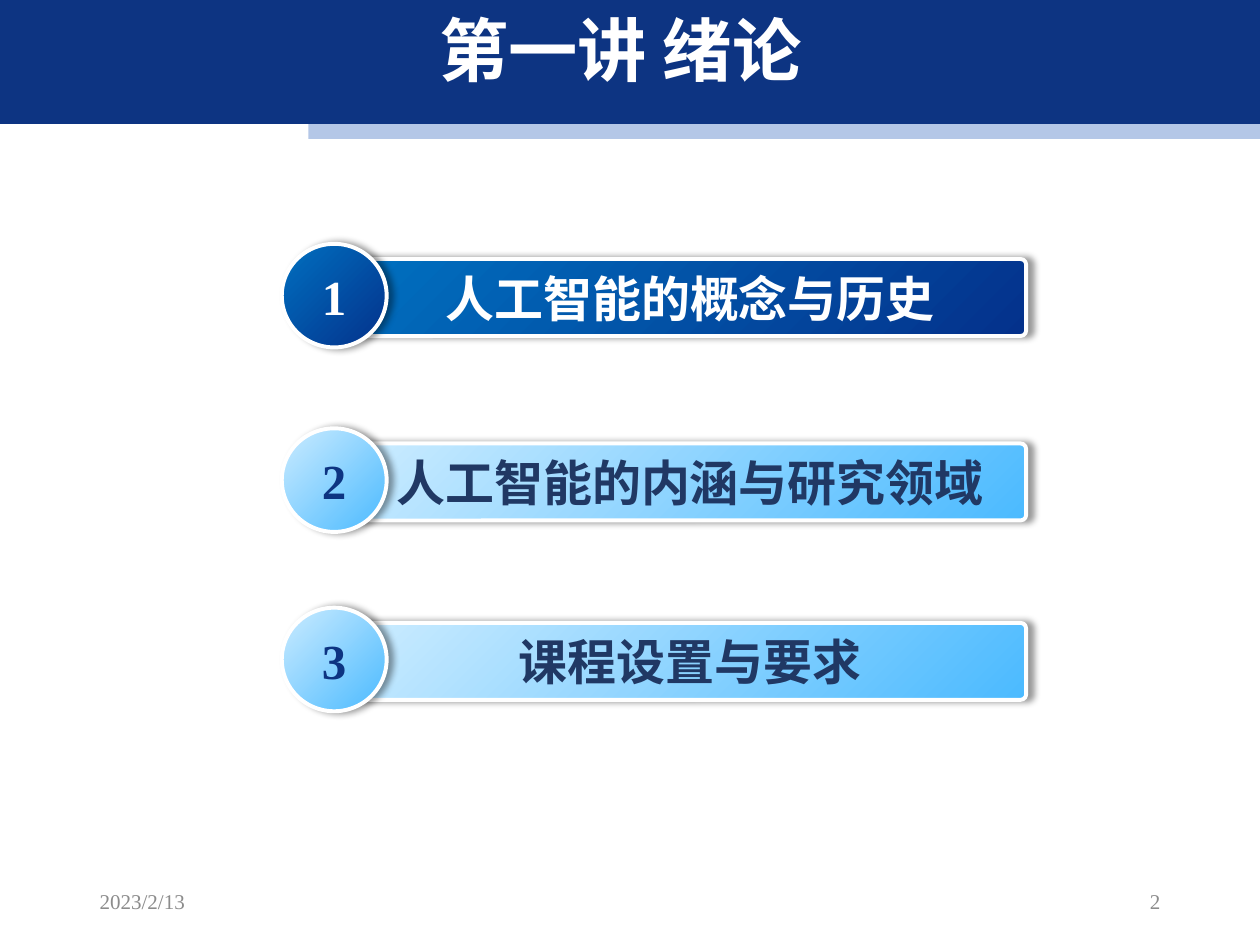
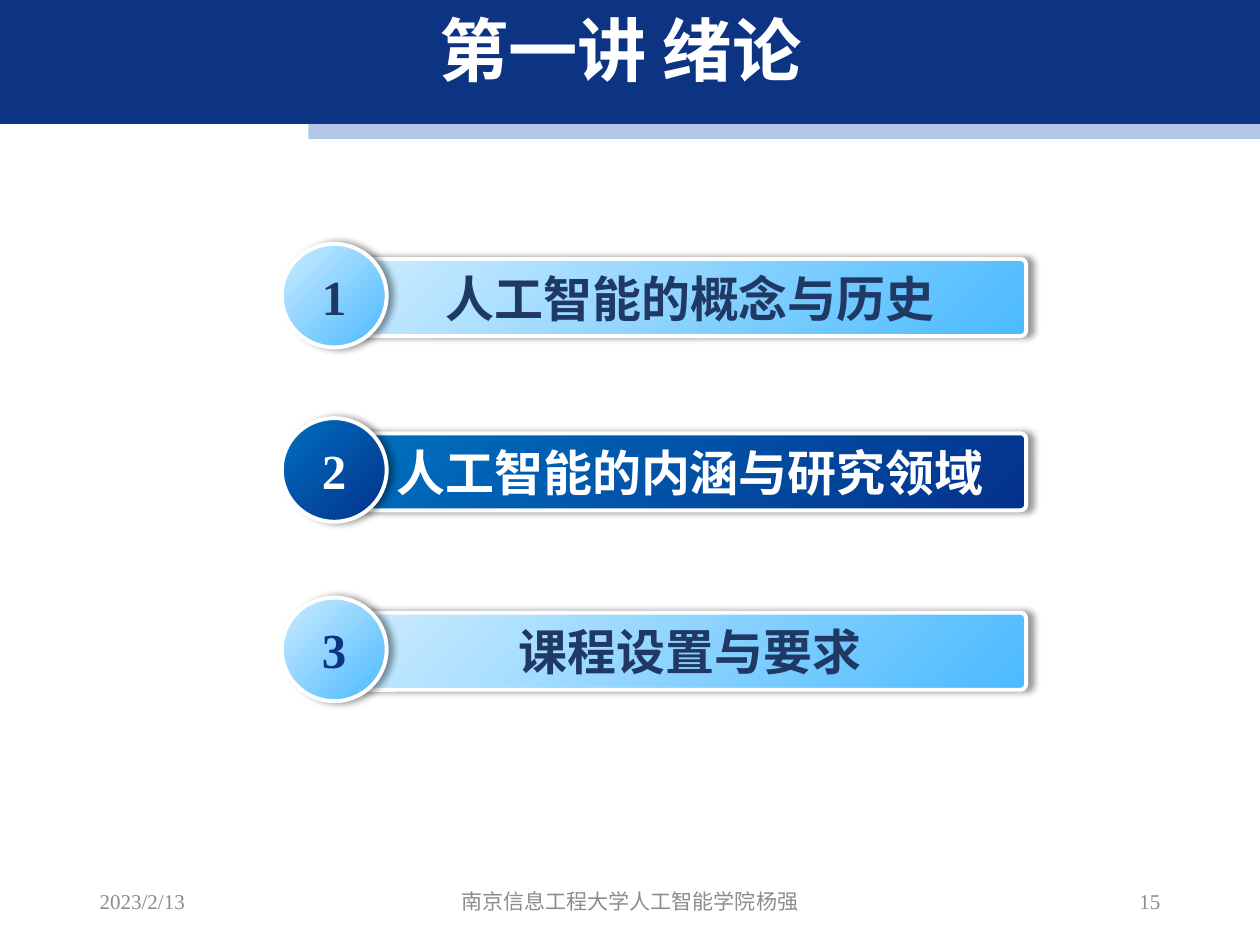
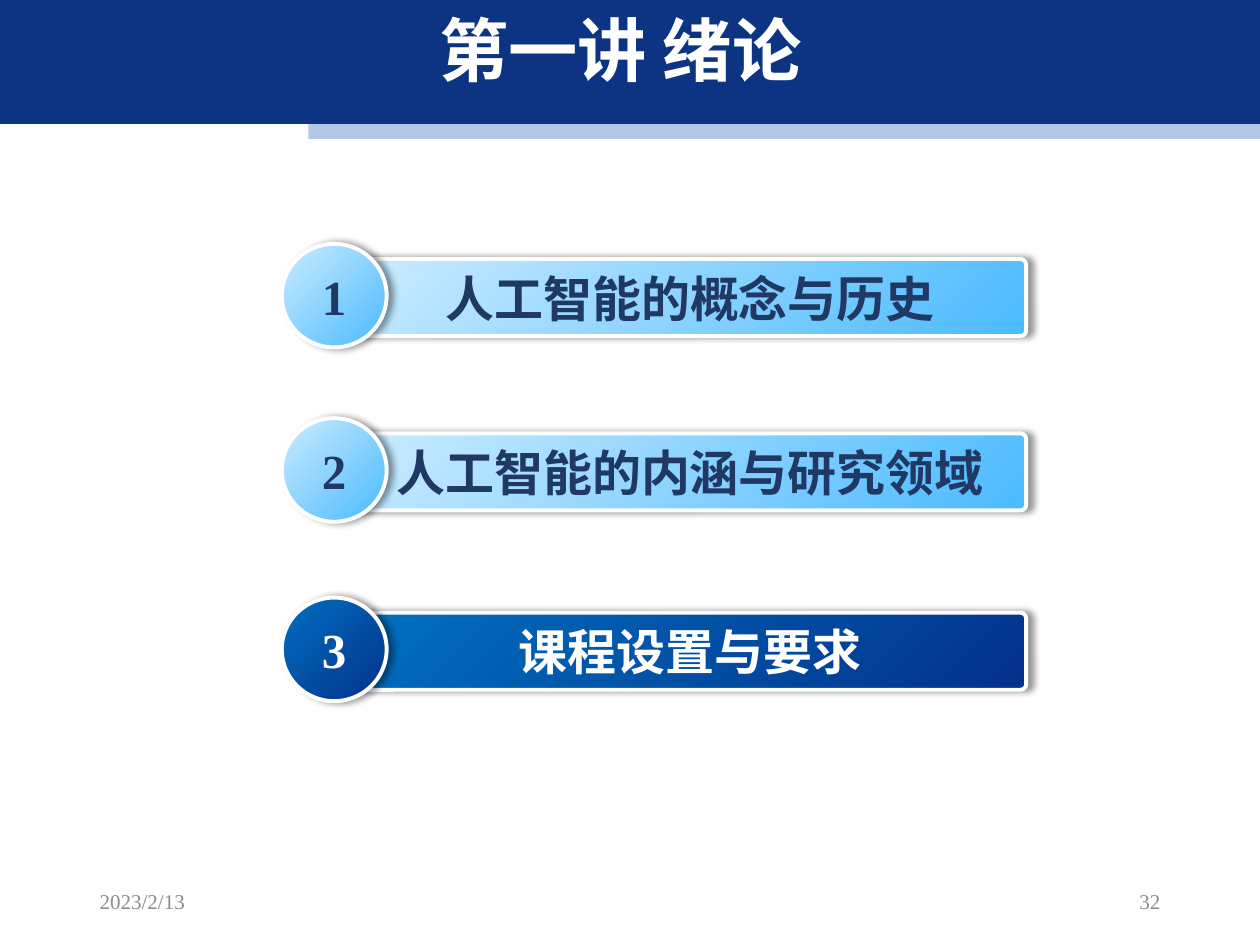
"""Build three agenda slides, each with one topic lit."""
from lxml.etree import SubElement as Sub
from pptx import Presentation
from pptx.dml.color import RGBColor as RGB
from pptx.enum.shapes import MSO_SHAPE as Shape
from pptx.enum.text import MSO_ANCHOR as Anchor, PP_ALIGN as Align
from pptx.oxml.ns import qn
from pptx.util import Inches, Pt

HUES = {
    "navy": "0D3482", "pale": "B4C7E7", "white": "FFFFFF",
    "ink": "203864", "grey": "8C8C8C", "black": "000000",
    "lit": ("0070C0", "04318B"), "dim": ("CCECFF", "4BBAFF"),
}
SERIF = "Times New Roman"
HAN = "Noto Sans CJK SC"
TOPICS = ["人工智能的概念与历史", "人工智能的内涵与研究领域", "课程设置与要求"]
SLIDES = [
    {"page": "2", "tops": (2.05, 3.51, 4.93), "foot": ""},
    {"page": "15", "tops": (2.05, 3.43, 4.85), "foot": "南京信息工程大学人工智能学院杨强"},
    {"page": "32", "tops": (2.05, 3.43, 4.85), "foot": ""},
]


def write(box, text, size, hue, align=Align.CENTER, face=SERIF, bold=False):
    frame = box.text_frame
    frame.word_wrap = True
    frame.vertical_anchor = Anchor.MIDDLE
    frame.text = text
    para = frame.paragraphs[0]
    para.alignment = align
    font = para.runs[0].font
    font.name, font.size, font.bold = face, Pt(size), bold
    font.color.rgb = RGB.from_string(HUES[hue])
    Sub(para.runs[0]._r.get_or_add_rPr(), qn("a:ea"), typeface=HAN)
    return para


def badge(group, kind, spot, tone, text, hue):
    shape = group.shapes.add_shape(kind, *map(Inches, spot))
    shape.fill.gradient()
    shape.fill.gradient_angle = 315
    for stop, code in zip(shape.fill.gradient_stops, HUES[tone]):
        stop.color.rgb = RGB.from_string(code)
    shape.line.color.rgb = RGB.from_string(HUES["white"])
    shape.line.width = Pt(2.25)
    shape.shadow.inherit = False
    glow = Sub(shape.element.spPr.find(qn("a:effectLst")), qn("a:outerShdw"),
               blurRad=str(Pt(4)), dist=str(Pt(3)), dir="0", rotWithShape="0")
    shade = Sub(glow, qn("a:srgbClr"), val=HUES["black"])
    Sub(shade, qn("a:alpha"), val="40000")
    write(shape, text, 27.9, hue, bold=True)
    return shape


deck = Presentation()
deck.slide_width, deck.slide_height = Inches(9.97), Inches(7.48)

for now, info in enumerate(SLIDES):
    slide = deck.slides.add_slide(deck.slide_layouts[6])

    for spot, hue in [((2.44, 0.98, 7.53, 0.12), "pale"), ((0, 0, 9.97, 0.98), "navy")]:
        band = slide.shapes.add_shape(Shape.RECTANGLE, *map(Inches, spot))
        band.shadow.inherit = False
        band.fill.solid()
        band.fill.fore_color.rgb = RGB.from_string(HUES[hue])
        band.line.fill.background()

    title = slide.shapes.add_textbox(*map(Inches, (1.14, 0.1, 7.54, 0.66)))
    write(title, "第一讲 绪论", 39.5, "white", face=HAN, bold=True).line_spacing = 0.9

    for num, (topic, top) in enumerate(zip(TOPICS, info["tops"])):
        lit = num == now
        tone = "lit" if lit else "dim"
        group = slide.shapes.add_group_shape()
        bar = badge(group, Shape.ROUNDED_RECTANGLE, (2.8, top, 5.32, 0.61),
                    tone, topic, "white" if lit else "ink")
        bar.adjustments[0] = 0.073
        hue = "white" if lit else "navy" if num > now else "ink"
        badge(group, Shape.OVAL, (2.23, top - 0.12, 0.83, 0.82), tone, str(num + 1), hue)

    for left, width, text, align, face in [
        (0.69, 2.24, "2023/2/13", Align.LEFT, SERIF),
        (3.3, 3.37, info["foot"], Align.CENTER, "Calibri"),
        (7.04, 2.24, info["page"], Align.RIGHT, SERIF),
    ]:
        if text:
            foot = slide.shapes.add_textbox(*map(Inches, (left, 6.93, width, 0.4)))
            write(foot, text, 12, "grey", align, face)

deck.save("out.pptx")
